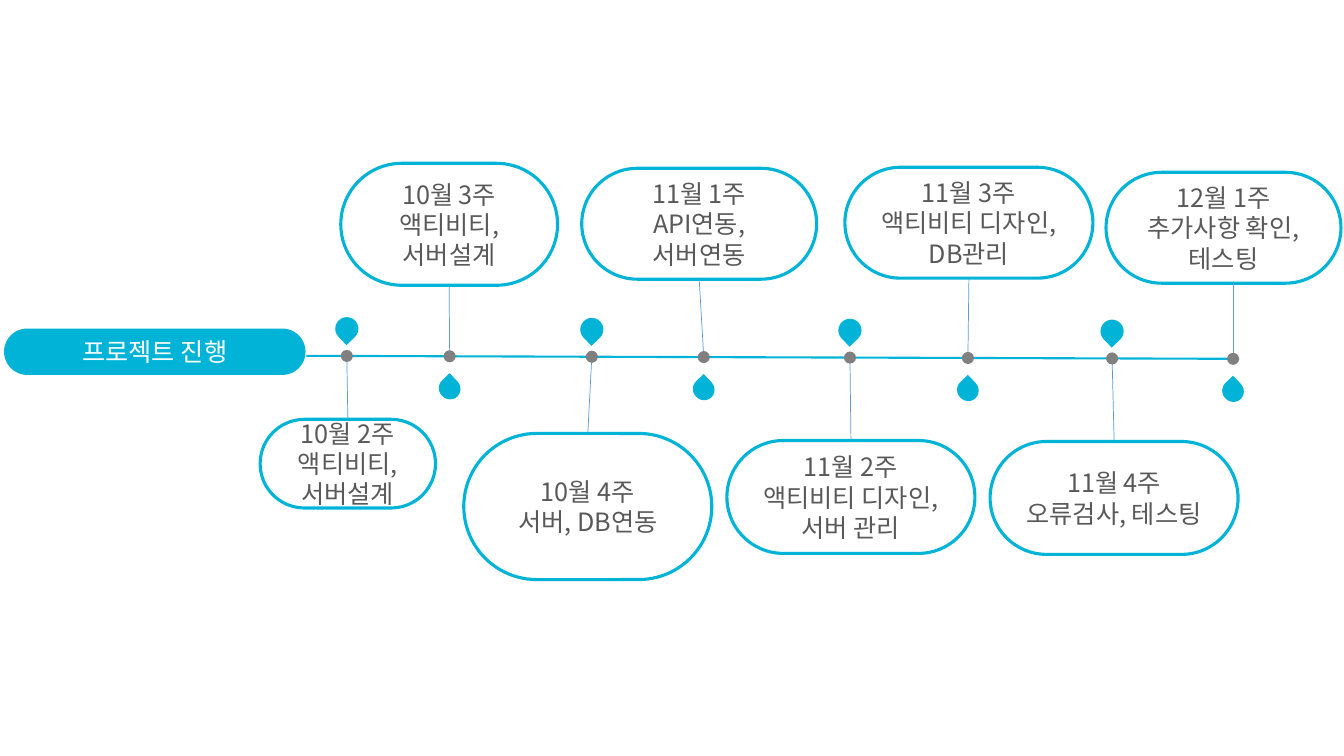
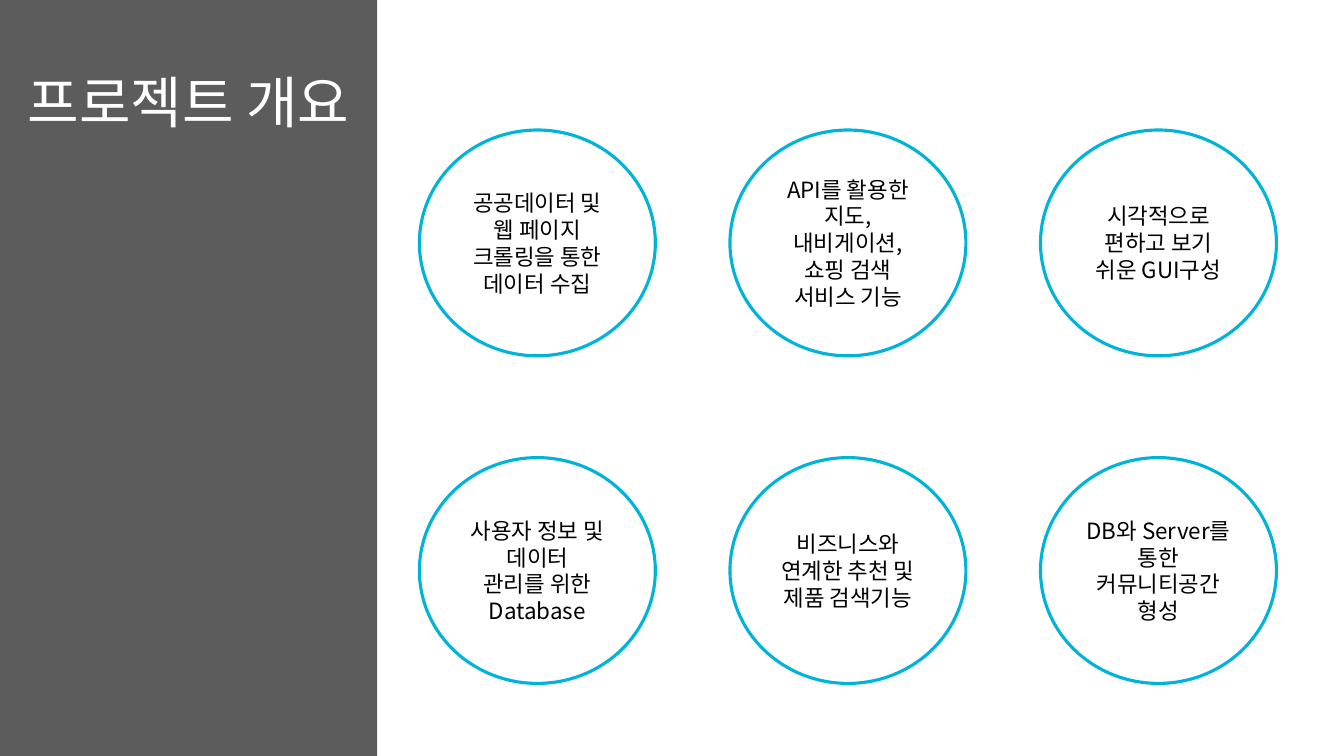
from lxml import etree
from pptx import Presentation
from pptx.dml.color import RGBColor
from pptx.enum.shapes import MSO_CONNECTOR as LINE, MSO_SHAPE as SHAPE
from pptx.enum.text import MSO_ANCHOR as ANCHOR, MSO_AUTO_SIZE as AUTO, PP_ALIGN as ALIGN
from pptx.oxml.ns import qn
from pptx.util import Inches, Pt

COLORS = {"accent": "01B4D7", "stem": "5B9BD5", "dot": "808080",
          "label": "595959", "black": "000000", "white": "FFFFFF"}
FONT = "Noto Sans CJK KR"


def add_item(slide, kind, box, fill=None, outline=None):
    item = slide.shapes.add_shape(kind, *map(Inches, box))
    item.shadow.inherit = False
    if fill:
        item.fill.solid()
        item.fill.fore_color.rgb = RGBColor.from_string(COLORS[fill])
    else:
        item.fill.background()
    if outline:
        item.line.color.rgb = RGBColor.from_string(COLORS[outline])
        item.line.width = Pt(2.25)
    else:
        item.line.fill.background()
    return item


def write(item, text, size, color, inset=(0.1, 0.05)):
    """Fill a shape or placeholder with centred text in the deck font."""
    frame = item.text_frame
    frame.text = text
    frame.word_wrap = True
    frame.auto_size = AUTO.NONE
    frame.vertical_anchor = ANCHOR.MIDDLE
    frame.margin_left = frame.margin_right = Inches(inset[0])
    frame.margin_top = frame.margin_bottom = Inches(inset[1])
    for paragraph in frame.paragraphs:
        paragraph.alignment = ALIGN.CENTER
        paragraph.line_spacing = Pt(size * 1.2)
        for run in paragraph.runs:
            run.font.size = Pt(size)
            run.font.name = FONT
            run.font.color.rgb = RGBColor.from_string(COLORS[color])
            etree.SubElement(run.font._element, qn("a:ea"), typeface=FONT)


prs = Presentation()
prs.slide_width, prs.slide_height = Inches(13.33), Inches(7.5)
title_only = prs.slide_layouts[5]
schedule = prs.slides.add_slide(title_only)
overview = prs.slides.add_slide(title_only)

# Title backgrounds, with each title in front of its own
title_pill = add_item(schedule, SHAPE.ROUNDED_RECTANGLE, (0.04, 3.26, 2.99, 0.46), "accent")
title_pill.adjustments[0] = 0.5
sidebar = add_item(overview, SHAPE.RECTANGLE, (0, 0, 3.74, 7.5), "black")
sidebar_color = sidebar._element.spPr.find(qn("a:solidFill"))[0]
etree.SubElement(sidebar_color, qn("a:alpha"), val="64000")

for slide, text, size, box in (
    (schedule, "프로젝트 진행", 18, (0.04, 3.26, 2.99, 0.46)),
    (overview, "프로젝트 개요", 40, (0, 0.6, 3.74, 0.8)),
):
    title = slide.shapes.title
    title.left, title.top, title.width, title.height = map(Inches, box)
    write(title, text, size, "white")
    slide.shapes._spTree.append(title._element)

# Schedule: dot centre x, bubble box, bubble text; bubbles alternate below and above
milestones = [
    (3.44, (2.58, 4.16, 1.74, 0.88), "10월 2주\n액티비티,\n서버설계"),
    (4.46, (3.38, 1.62, 2.15, 1.21), "10월 3주\n액티비티,\n서버설계"),
    (5.87, (4.6, 4.3, 2.46, 1.45), "10월 4주\n서버, DB연동"),
    (6.98, (5.77, 1.67, 2.33, 1.1), "11월 1주\nAPI연동,\n서버연동"),
    (8.43, (7.21, 4.37, 2.46, 1.12), "11월 2주\n액티비티 디자인,\n서버 관리"),
    (9.6, (8.38, 1.66, 2.46, 1.1), "11월 3주\n액티비티 디자인,\nDB관리"),
    (11.03, (9.82, 4.38, 2.46, 1.12), "11월 4주\n오류검사, 테스팅"),
    (12.23, (10.97, 1.71, 2.33, 1.1), "12월 1주\n추가사항 확인,\n테스팅"),
]
AXIS_START, AXIS_END = (3.04, 3.53), (12.29, 3.56)
DOT = 0.12

axis = schedule.shapes.add_connector(LINE.STRAIGHT, *map(Inches, AXIS_START + AXIS_END))
connectors = [(axis, "accent", 1.5)]
slope = (AXIS_END[1] - AXIS_START[1]) / (AXIS_END[0] - AXIS_START[0])

for index, (x, box, text) in enumerate(milestones):
    left, top, width, height = box
    below = index % 2 == 0
    y = AXIS_START[1] + slope * (x - AXIS_START[0])

    bubble = add_item(schedule, SHAPE.ROUNDED_RECTANGLE, box, outline="accent")
    bubble.adjustments[0] = 0.5
    write(bubble, text, 18, "label", inset=(0.13, 0.07))

    edge = top if below else top + height
    stem = schedule.shapes.add_connector(LINE.STRAIGHT, *map(Inches, (x, y, x, edge)))
    if abs(left + width / 2 - x) < 0.05:
        stem.end_connect(bubble, 0 if below else 2)
    connectors.append((stem, "stem", 0.5))

    add_item(schedule, SHAPE.OVAL, (x - DOT / 2, y - DOT / 2, DOT, DOT), "dot")

    # The pin sits across the axis from its bubble and points at the dot
    pin_width, pin_height = (0.23, 0.23) if below else (0.22, 0.21)
    pin_y = y - 0.27 if below else y + 0.32
    pin = add_item(schedule, SHAPE.TEAR,
                   (x - pin_width / 2, pin_y - pin_height / 2, pin_width, pin_height), "accent")
    pin.rotation = 46.2
    pin._element.spPr.xfrm.set("flipV" if below else "flipH", "1")

for connector, color, weight in connectors:
    connector.line.color.rgb = RGBColor.from_string(COLORS[color])
    connector.line.width = Pt(weight)
    etree.SubElement(connector._element.spPr, qn("a:effectLst"))

# Overview: a grid of circles, three to a row
features = [
    "공공데이터 및 웹 페이지\n크롤링을 통한\n데이터 수집",
    "API를 활용한\n지도,\n내비게이션, 쇼핑 검색\n서비스 기능",
    "시각적으로\n편하고 보기\n쉬운 GUI구성",
    "사용자 정보 및 데이터\n관리를 위한 Database",
    "비즈니스와\n연계한 추천 및 제품 검색기능",
    "DB와 Server를 통한 커뮤니티공간 형성",
]
for index, text in enumerate(features):
    row, column = divmod(index, 3)
    circle = add_item(overview, SHAPE.OVAL,
                      (4.16 + 3.08 * column, 1.29 + 3.25 * row, 2.34, 2.24), outline="accent")
    write(circle, text, 16, "black")

prs.save("out.pptx")
